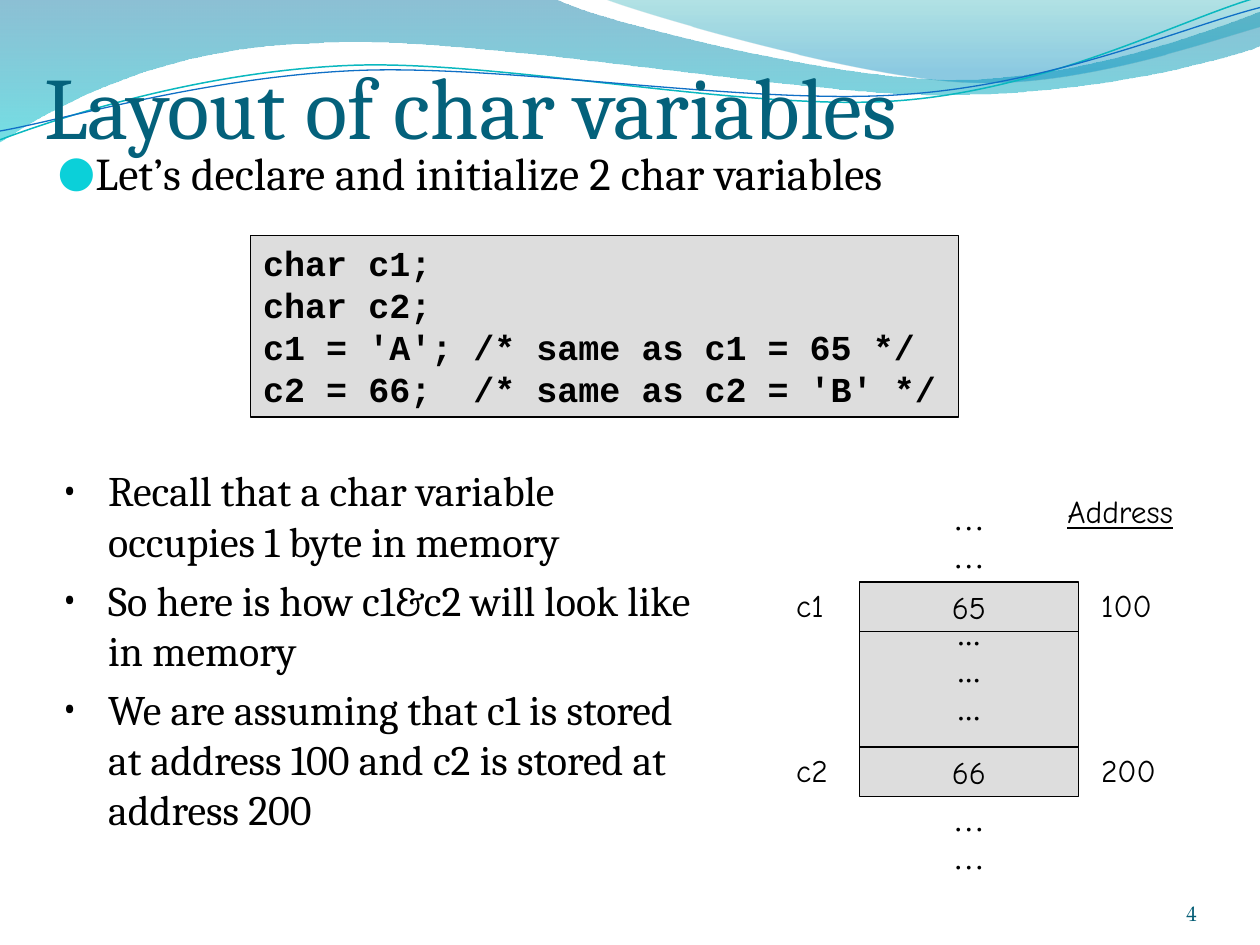
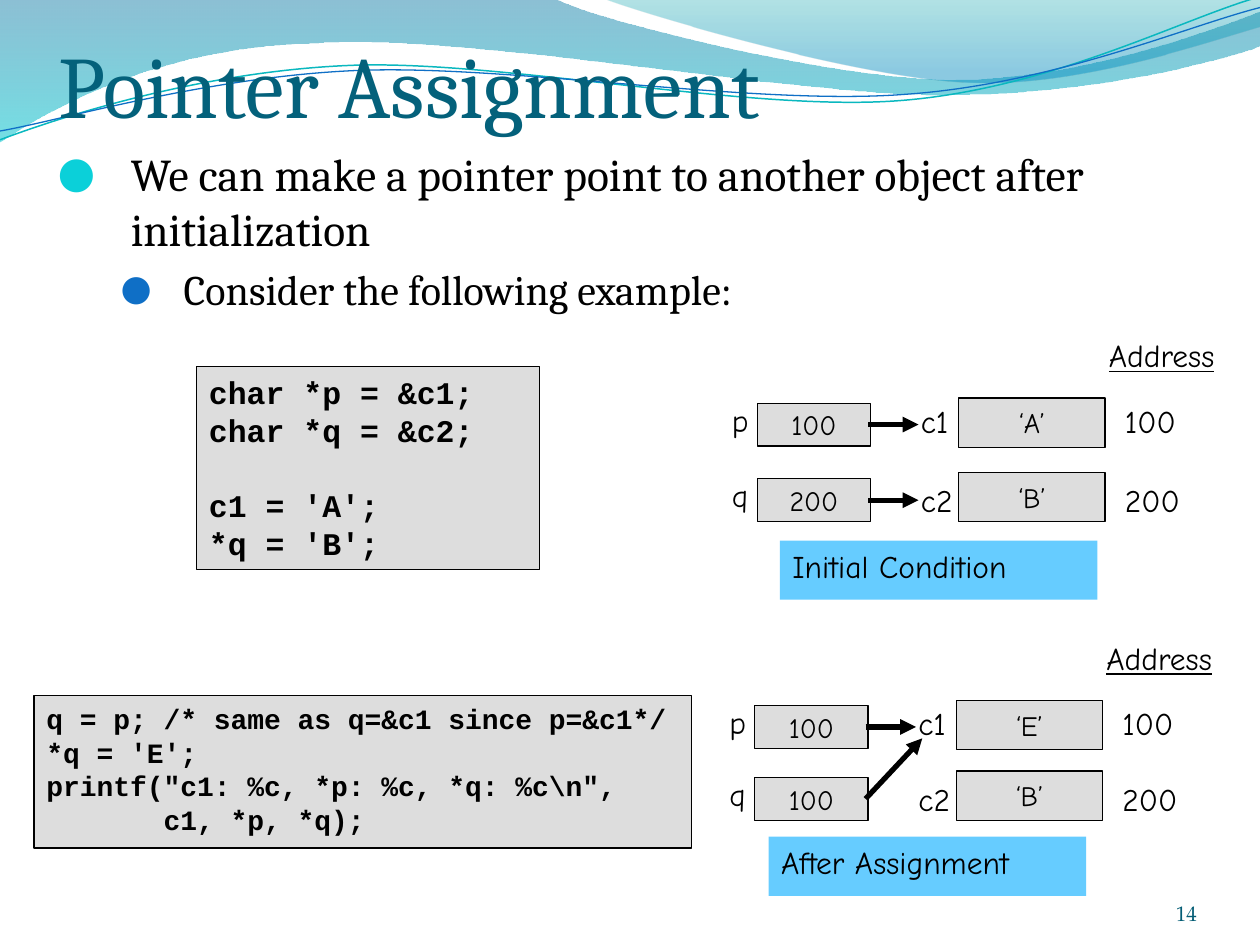
from lxml.etree import SubElement
from pptx import Presentation
from pptx.dml.color import RGBColor
from pptx.enum.shapes import MSO_CONNECTOR, MSO_SHAPE
from pptx.enum.text import MSO_ANCHOR, MSO_AUTO_SIZE, PP_ALIGN
from pptx.oxml.ns import qn
from pptx.util import Inches, Pt

COLORS = {
    "title": "04617B", "number": "045D75", "text": "000000",
    "cell": "DDDDDD", "caption": "66CCFF",
    "bullet": "0BD0D9", "sub_bullet": "0F6FC6",
    "teal_line": "0AB8BF", "blue_line": "0F6FC6",
    "wave_top": "0074A1", "wave_end": "00C6CF",
    "corner_top": "00A1A9", "corner_end": "008BBF",
}
TITLE = {"name": "Cambria", "size": Pt(50)}
BODY = {"name": "Cambria", "size": Pt(26)}
SUB_BODY = {"name": "Cambria", "size": Pt(24)}
NUMBER = {"name": "TeX Gyre Pagella", "size": Pt(12)}
LABEL = {"name": "Comic Neue", "size": Pt(18)}
HEADING = {**LABEL, "underline": True}
VALUE = {"name": "Comic Neue", "size": Pt(16)}
DOTS = {"name": "Times New Roman", "size": Pt(18)}
CODE = {"name": "Courier New", "bold": True}
MIDDLE = {"vertical_anchor": MSO_ANCHOR.MIDDLE, "word_wrap": False}
LABEL_WIDTHS = {"p": 0.34, "q": 0.33, "c1": 0.44, "c2": 0.48,
                "100": 0.62, "200": 0.66}

# Each curve: start point, then line ends or Bezier segments
# (two controls and an end)
WAVE = [(0, 0), (4.4, -0.01),
        [(4.76, 0.17), (6.64, 0.63), (7.58, 0.63)],
        [(8.53, 0.63), (9.58, 0.26), (10, 0.09)], (10.01, 0.36),
        [(9.83, 0.44), (8.7, 0.76), (7.46, 0.75)],
        [(6.22, 0.75), (3.82, 0.28), (2.57, 0.34)],
        [(1.29, 0.36), (0.46, 0.83), (-0.01, 1.13)], (0, 0)]
CORNER = [(4.79, -0.01), [(5.09, 0.11), (6.82, 0.62), (7.69, 0.65)],
          [(8.56, 0.69), (9.61, 0.32), (10, 0.21)], (10, 0), (4.79, -0.01)]
TEAL_CURVE = [(0, 1.11), [(0.48, 0.93), (1.58, 0.57), (2.77, 0.52)],
              [(3.95, 0.47), (5.93, 0.89), (7.13, 0.8)],
              [(8.33, 0.71), (9.38, 0.15), (9.98, -0.02)]]
BLUE_CURVE = [(0, 1.04), [(0.47, 0.96), (1.64, 0.61), (2.83, 0.56)],
              [(4.03, 0.51), (5.97, 0.84), (7.17, 0.75)],
              [(8.36, 0.67), (9.41, 0.21), (10, 0.06)]]


def rgb(name):
    """Look up a colour of the palette."""
    return RGBColor.from_string(COLORS[name])


def apply(target, values):
    """Set attributes from a dict of format values."""
    for name, value in values.items():
        setattr(target, name, value)


def write(shape, lines, font, color="text", align=PP_ALIGN.LEFT, **frame):
    """Write one paragraph per line and return the paragraphs."""
    tf = shape.text_frame
    apply(tf, {"auto_size": MSO_AUTO_SIZE.NONE, "word_wrap": True,
               "vertical_anchor": MSO_ANCHOR.TOP, **frame})
    for i, line in enumerate(lines):
        p = tf.add_paragraph() if i else tf.paragraphs[0]
        p.alignment = align
        r = p.add_run()
        r.text = line
        apply(r.font, font)
        r.font.color.rgb = rgb(color)
    return tf.paragraphs


def indent(p, left, hang):
    """Give a paragraph a hanging indent."""
    pPr = p._p.get_or_add_pPr()
    pPr.set("marL", str(Inches(left)))
    pPr.set("indent", str(-Inches(hang)))
    return pPr


def bullet(p, left, hang, char, color, percent=100):
    """Give a paragraph a coloured bullet and space before it."""
    p.space_before = Pt(0.2 * p.runs[0].font.size.pt)
    pPr = indent(p, left, hang)
    clr = SubElement(pPr, qn("a:buClr"))
    SubElement(clr, qn("a:srgbClr"), val=COLORS[color])
    SubElement(pPr, qn("a:buSzPct"), val=str(percent * 1000))
    SubElement(pPr, qn("a:buFont"), typeface=BODY["name"])
    SubElement(pPr, qn("a:buChar"), char=char)


def text(s, box, lines, font, **options):
    """Add a text box."""
    sp = s.shapes.add_textbox(*map(Inches, box))
    return write(sp, lines, font, **options)


def label(s, x, y, word):
    """Add a one-line label beside a memory cell."""
    text(s, (x, y, LABEL_WIDTHS[word], 0.4), [word], LABEL, word_wrap=False)


def address_heading(s, x, y):
    """Add the underlined heading over the addresses."""
    text(s, (x, y, 1.18, 0.4), ["Address"], HEADING,
         align=PP_ALIGN.CENTER, word_wrap=False)


def rect(s, box, fill="cell", outlined=True):
    """Add a plain rectangle."""
    sp = s.shapes.add_shape(MSO_SHAPE.RECTANGLE, *map(Inches, box))
    sp.shadow.inherit = False
    sp.fill.solid()
    sp.fill.fore_color.rgb = rgb(fill)
    if outlined:
        sp.line.color.rgb = rgb("text")
        sp.line.width = Pt(0.75)
    else:
        sp.line.fill.background()
    return sp


def cell(s, box, lines, font, **frame):
    """Add a memory cell with centred content."""
    write(rect(s, box), lines, font, align=PP_ALIGN.CENTER, **MIDDLE, **frame)


def code(s, box, size, lines):
    """Add a code listing; an empty line becomes space before the next."""
    paragraphs = write(rect(s, box), [line for line in lines if line],
                       {**CODE, "size": Pt(size)})
    for p in paragraphs:
        indent(p, 0.38, 0.38)
    if "" in lines:
        paragraphs[lines.index("")].space_before = Pt(1.19 * size)


def arrow(s, x1, y1, x2, y2):
    """Add a thick arrow from a pointer to its target."""
    c = s.shapes.add_connector(MSO_CONNECTOR.STRAIGHT,
                               *map(Inches, (x1, y1, x2, y2)))
    c.line.color.rgb = rgb("text")
    c.line.width = Pt(3)
    SubElement(c.line._get_or_add_ln(), qn("a:tailEnd"), type="triangle")
    SubElement(c.element.spPr, qn("a:effectLst"))


def curve(s, outline, closed):
    """Build a freeform, turning each triple of points into a Bezier."""
    points = []
    for part in outline:
        points += part if isinstance(part, list) else [part]
    points = [(Inches(x), Inches(y)) for x, y in points]
    builder = s.shapes.build_freeform(*points[0])
    builder.add_line_segments(points[1:], close=closed)
    sp = builder.convert_to_shape()
    sp.shadow.inherit = False
    nodes = iter(list(sp.element.spPr.iter(qn("a:lnTo"))))
    for part in outline[1:]:
        node = next(nodes)
        if isinstance(part, list):
            node.tag = qn("a:cubicBezTo")
            for extra in (next(nodes), next(nodes)):
                node.append(extra[0])
                extra.getparent().remove(extra)
    return sp


def wave(s, outline, stops):
    """Add a translucent wave with a top-down gradient."""
    sp = curve(s, outline, True)
    sp.line.fill.background()
    sp.fill.gradient()
    sp.fill.gradient_angle = 270
    for stop, (color, position, _) in zip(sp.fill.gradient_stops, stops):
        stop.color.rgb = rgb(color)
        stop.position = position
    for clr, (_, _, alpha) in zip(sp.element.spPr.iter(qn("a:srgbClr")), stops):
        SubElement(clr, qn("a:alpha"), val=str(alpha * 1000))
    return sp


def swoosh(s, outline, color, width):
    """Add a thin curved line."""
    sp = curve(s, outline, False)
    sp.fill.background()
    sp.line.color.rgb = rgb(color)
    sp.line.width = Pt(width)
    return sp


def decorate_master(prs, s):
    """Draw the header waves on a slide and move them to the master."""
    parts = [wave(s, WAVE, [("wave_top", 0, 45), ("wave_end", 1, 55)]),
             wave(s, CORNER, [("corner_top", 0, 30), ("corner_end", 0.8, 45)]),
             swoosh(s, TEAL_CURVE, "teal_line", 0.85),
             swoosh(s, BLUE_CURVE, "blue_line", 0.75)]
    for i, sp in enumerate(parts):
        prs.slide_master.shapes.element.insert(2 + i, sp.element)


def new_slide(prs, title, box, number):
    """Add a slide with its title and page number."""
    s = prs.slides.add_slide(prs.slide_layouts[5])
    apply(s.shapes.title, dict(zip(("left", "top", "width", "height"),
                                   map(Inches, box))))
    write(s.shapes.title, [title], TITLE, color="title",
          vertical_anchor=MSO_ANCHOR.BOTTOM, margin_left=0,
          margin_right=0, margin_top=Inches(0.05), margin_bottom=0)
    text(s, (8.67, 6.95, 0.83, 0.4), [number], NUMBER, color="number",
         align=PP_ALIGN.RIGHT, vertical_anchor=MSO_ANCHOR.BOTTOM,
         margin_left=0, margin_right=0, margin_top=0, margin_bottom=0)
    return s


def memory_column(s, x, y):
    """Draw the memory column holding c1 and c2, with names and addresses."""
    left, width, row = x + 0.61, 1.74, 0.39
    first, between, second = y + 0.76, y + 1.14, y + 2.07
    for top in (y + 0.07, second + row):
        text(s, (left, top, width, 0.66), ["…"] * 2, DOTS,
             align=PP_ALIGN.CENTER, **MIDDLE)
    cell(s, (left, between, width, second - between), ["..."] * 3, DOTS,
         margin_top=0, margin_bottom=Inches(0.29))
    for top, name, value, address in ((first, "c1", "65", "100"),
                                      (second, "c2", "66", "200")):
        cell(s, (left, top, width, row), [value], LABEL)
        label(s, x + 0.01, top - 0.02, name)
        label(s, x + 2.43, top - 0.02, address)
    address_heading(s, x + 2.09, y)


def pointer_panel(s, x, y, row_gap, pointers, values, caption, caption_at):
    """Draw pointers p and q beside c1 and c2, with a caption below."""
    address_heading(s, x + 2.92, y)
    rows = zip("pq", pointers, ("c1", "c2"), values, ("100", "200"))
    for i, (pointer, target, name, value, address) in enumerate(rows):
        top = y + 0.51 + i * row_gap
        label(s, x, top, pointer)
        cell(s, (x + 0.3, top + 0.07, 0.9, 0.34), [target], VALUE)
        label(s, x + 1.5, top + 0.01 + 0.03 * i, name)
        cell(s, (x + 1.9, top + 0.03 - 0.01 * i, 1.16, 0.39), [value], VALUE)
        label(s, x + 3.12, top + 0.01 + 0.03 * i, address)
        if target == address:
            arrow(s, x + 1.18, top + 0.24, x + 1.58, top + 0.24)
        else:
            arrow(s, x + 1.18, top + 0.24, x + 1.63, y + 0.84)
    dx, dy = caption_at
    p = write(rect(s, (x + dx, y + dy, 2.52, 0.47), "caption", False),
              [caption], LABEL)[0]
    p.space_before = Pt(3.6)
    indent(p, 0.58, 0.58)


def char_layout_slide(prs):
    """Slide on how char variables lie in memory."""
    s = new_slide(prs, "Layout of char variables", (0.35, 0, 9, 1.25), "4")
    decorate_master(prs, s)
    p = text(s, (0.36, 1.1, 9.07, 0.63),
             ["Let’s declare and initialize 2 char variables"], BODY)[0]
    bullet(p, 0.3, 0.3, "●", "bullet", 95)
    memory_column(s, 6.21, 3.86)
    code(s, (1.99, 1.87, 5.62, 1.44), 20,
         ["char c1;", "char c2;", "c1 = 'A'; /* same as c1 = 65 */",
          "c2 = 66;  /* same as c2 = 'B' */"])
    notes = ["Recall that a char variable occupies 1 byte in memory",
             "So here is how c1&c2 will look like in memory",
             "We are assuming that c1 is stored at address 100 and c2 is "
             "stored at address 200"]
    for p in text(s, (0.38, 3.64, 5.31, 3.56), notes, SUB_BODY):
        bullet(p, 0.38, 0.38, "•", "text")


def pointer_slide(prs):
    """Slide on making a pointer point elsewhere."""
    s = new_slide(prs, " Pointer Assignment", (0.31, 0.15, 9.39, 0.93), "14")
    main, sub = text(s, (0.36, 1.11, 9.4, 1.6),
                     ["We can make a pointer point to another object after "
                      "initialization", "Consider the following example: "], BODY)
    apply(sub.runs[0].font, SUB_BODY)
    sub.level = 1
    bullet(main, 0.58, 0.58, "●", "bullet", 95)
    bullet(sub, 1, 0.5, "●", "sub_bullet", 85)
    code(s, (0.27, 5.52, 5.22, 1.21), 16,
         ["q = p; /* same as q=&c1 since p=&c1*/", "*q = 'E';",
          'printf("c1: %c, *p: %c, *q: %c\\n", ', "       c1, *p, *q); "])
    code(s, (1.56, 2.91, 2.72, 1.61), 18,
         ["char *p = &c1;", "char *q = &c2;", "", "c1 = 'A';", "*q = 'B';"])
    pointer_panel(s, 5.71, 2.62, 0.6, ("100", "200"), ("‘A’", "‘B’"),
                  "Initial Condition", (0.48, 1.67))
    pointer_panel(s, 5.69, 5.02, 0.57, ("100", "100"), ("‘E’", "‘B’"),
                  "After Assignment", (0.41, 1.62))


prs = Presentation()
prs.slide_width, prs.slide_height = Inches(10), Inches(7.5)
char_layout_slide(prs)
pointer_slide(prs)
prs.save("out.pptx")
